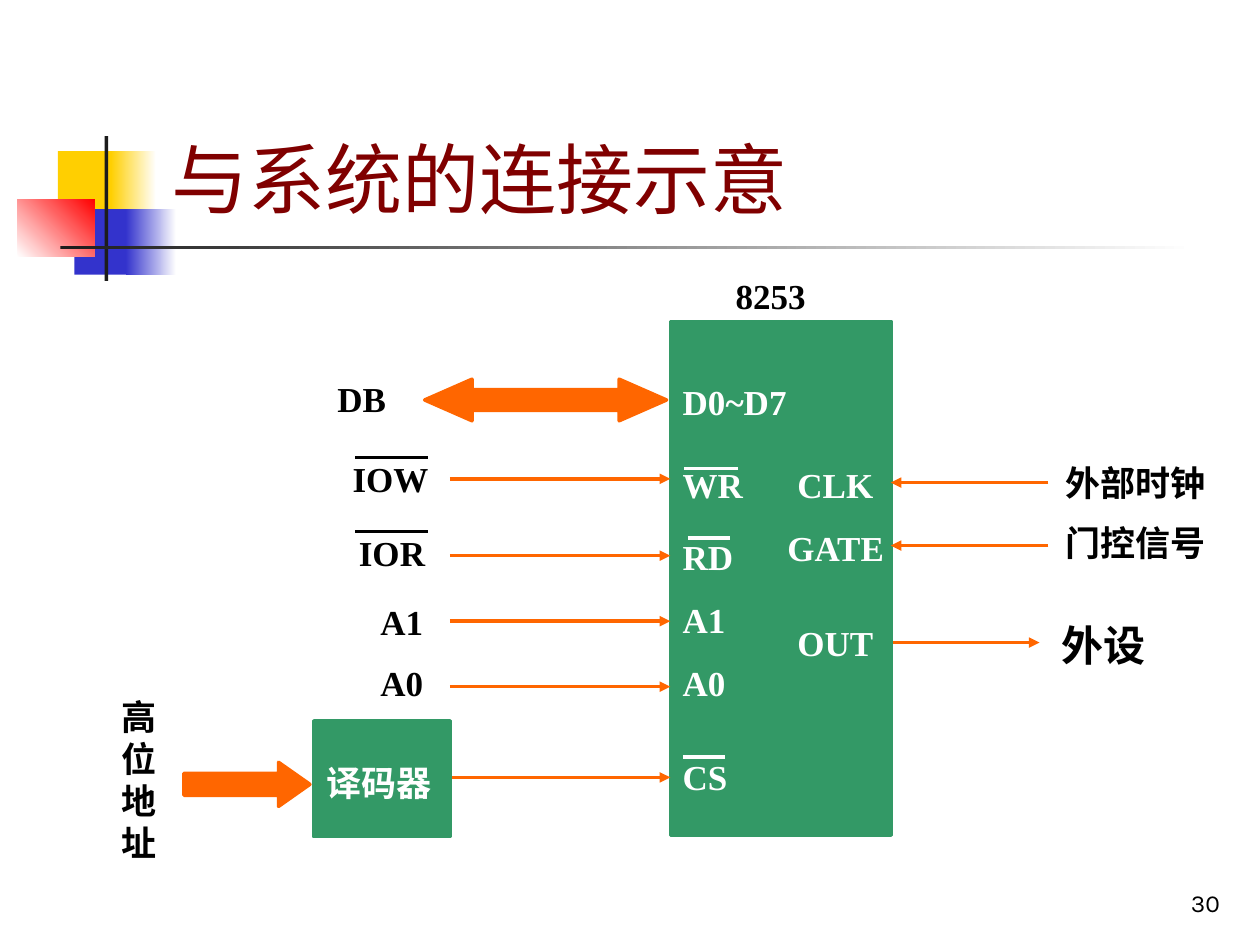
from dataclasses import dataclass

from lxml.etree import SubElement
from pptx import Presentation
from pptx.dml.color import RGBColor
from pptx.enum.shapes import MSO_CONNECTOR, MSO_SHAPE
from pptx.enum.text import MSO_ANCHOR, PP_ALIGN
from pptx.oxml.ns import qn
from pptx.util import Inches, Pt


@dataclass(frozen=True)
class Theme:
    black: str = "000000"
    white: str = "FFFFFF"
    chip: str = "339966"
    signal: str = "FF6600"
    heading: str = "800000"
    yellow: str = "FFCF01"
    blue: str = "3333CC"
    red: str = "FF0000"
    ink: str = "1C1C1C"
    heading_font: str = "Karla"
    label_font: str = "Times New Roman"
    title_size: int = 44
    large_size: int = 24
    label_size: int = 20
    number_size: int = 14
    line_width: int = 2


class Diagram:
    def __init__(self, slide, theme):
        self.slide = slide
        self.theme = theme

    def block(self, left, top, width, height, color, outlined=False,
              kind=MSO_SHAPE.RECTANGLE, adjustments=()):
        shape = self.slide.shapes.add_shape(
            kind, Inches(left), Inches(top), Inches(width), Inches(height))
        shape.shadow.inherit = False
        for index, value in enumerate(adjustments):
            shape.adjustments[index] = value
        shape.fill.solid()
        shape.fill.fore_color.rgb = RGBColor.from_string(color)
        if outlined:
            shape.line.color.rgb = RGBColor.from_string(color)
            shape.line.width = Pt(self.theme.line_width)
        else:
            shape.line.fill.background()
        return shape

    def fade(self, left, top, width, height, start, end, angle=0):
        fill = self.block(left, top, width, height, start).fill
        fill.gradient()
        fill.gradient_angle = angle
        for stop, color in zip(fill.gradient_stops, (start, end)):
            stop.color.rgb = RGBColor.from_string(color)

    def text(self, words, left, top, width, height=0.44, color=None, size=None,
             font=None, bold=True, align=PP_ALIGN.LEFT, anchor=MSO_ANCHOR.TOP,
             spacing=None):
        box = self.slide.shapes.add_textbox(
            Inches(left), Inches(top), Inches(width), Inches(height))
        frame = box.text_frame
        frame.word_wrap = True
        frame.vertical_anchor = anchor
        frame.text = words
        paragraph = frame.paragraphs[0]
        paragraph.alignment = align
        if spacing:
            paragraph.line_spacing = spacing
        style = paragraph.runs[0].font
        style.name = font or self.theme.label_font
        style.size = Pt(size or self.theme.label_size)
        style.bold = bold
        style.color.rgb = RGBColor.from_string(color or self.theme.black)

    def line(self, x1, y1, x2, y2, color, arrow=False):
        connector = self.slide.shapes.add_connector(
            MSO_CONNECTOR.STRAIGHT, Inches(x1), Inches(y1), Inches(x2), Inches(y2))
        connector.line.color.rgb = RGBColor.from_string(color)
        connector.line.width = Pt(self.theme.line_width)
        if arrow:
            SubElement(connector.line._get_or_add_ln(), qn("a:tailEnd"), type="triangle")
        SubElement(connector._element.spPr, qn("a:effectLst"))


def draw_heading(diagram):
    theme = diagram.theme
    diagram.block(0.46, 1.2, 0.48, 0.52, theme.yellow)
    diagram.fade(0.88, 1.2, 0.36, 0.52, theme.yellow, theme.white)
    diagram.block(0.59, 1.66, 0.46, 0.52, theme.blue)
    diagram.fade(1, 1.66, 0.4, 0.52, theme.blue, theme.white)
    diagram.fade(0.14, 1.58, 0.61, 0.46, theme.white, theme.red, angle=45)
    diagram.block(0.83, 1.08, 0.03, 1.15, theme.ink)
    diagram.fade(0.48, 1.95, 9, 0.03, theme.ink, theme.white)
    diagram.text("30", 7.7, 6.83, 2.08, 0.5, size=theme.number_size,
                 font=theme.heading_font, bold=False, align=PP_ALIGN.RIGHT,
                 anchor=MSO_ANCHOR.BOTTOM)
    diagram.text("与系统的连接示意", 1.26, 0.66, 8.52, 1.17, color=theme.heading,
                 size=theme.title_size, font=theme.heading_font, bold=False,
                 anchor=MSO_ANCHOR.BOTTOM)


def draw_timer(diagram):
    theme = diagram.theme
    chip_left = 5.32
    diagram.text("8253", 5.74, 2.13, 0.83)
    diagram.block(chip_left, 2.55, 1.75, 4.08, theme.chip, outlined=True)
    for pin, top in (("D0~D7", 2.97), ("WR", 3.63), ("RD", 4.2),
                     ("A1", 4.7), ("A0", 5.2), ("CS", 5.95)):
        diagram.text(pin, chip_left, top, 1.17, color=theme.white)
    for pin, left, top in (("CLK", 6.23, 3.63), ("GATE", 6.15, 4.13), ("OUT", 6.23, 4.88)):
        diagram.text(pin, left, top, 1.08, color=theme.white)
    for start, end, y in ((5.43, 5.86, 3.72), (5.46, 5.79, 4.27), (5.42, 5.75, 6.01)):
        diagram.line(start, y, end, y, theme.white)


def draw_bus(diagram):
    theme = diagram.theme
    for signal, left, top in (("DB", 2.58, 2.95), ("IOW", 2.7, 3.58), ("IOR", 2.75, 4.17),
                              ("A1", 2.92, 4.72), ("A0", 2.92, 5.2)):
        diagram.text(signal, left, top, 0.83)
    for y in (3.63, 4.22):
        diagram.line(2.82, y, 3.4, y, theme.black)
    diagram.block(3.37, 3.01, 1.92, 0.33, theme.signal, outlined=True,
                  kind=MSO_SHAPE.LEFT_RIGHT_ARROW, adjustments=(0.5, 1.14))
    for y in (3.8, 4.41, 4.93, 5.45, 6.17):
        diagram.line(3.57, y, 5.32, y, theme.signal, arrow=True)


def draw_decoder(diagram):
    theme = diagram.theme
    diagram.text("高位地址", 0.87, 5.47, 0.67, 1.44)
    diagram.block(1.46, 6.05, 1, 0.35, theme.signal, outlined=True,
                  kind=MSO_SHAPE.RIGHT_ARROW, adjustments=(0.5, 0.71))
    diagram.block(2.49, 5.72, 1.08, 0.92, theme.chip, outlined=True)
    diagram.text("译码器", 2.49, 5.88, 1.17, 0.55, color=theme.white, spacing=1.35)


def draw_peripherals(diagram):
    theme = diagram.theme
    for start, end, y in ((8.32, 7.07, 3.83), (8.32, 7.07, 4.33), (7.09, 8.25, 5.1)):
        diagram.line(start, y, end, y, theme.signal, arrow=True)
    diagram.text("外部时钟", 8.36, 3.61, 1.41)
    diagram.text("门控信号", 8.36, 4.09, 1.41)
    diagram.text("外设", 8.33, 4.87, 1.08, 0.5, size=theme.large_size)


def main():
    presentation = Presentation()
    presentation.slide_width = Inches(10)
    presentation.slide_height = Inches(7.5)
    slide = presentation.slides.add_slide(presentation.slide_layouts[6])
    diagram = Diagram(slide, Theme())
    draw_heading(diagram)
    draw_timer(diagram)
    draw_bus(diagram)
    draw_decoder(diagram)
    draw_peripherals(diagram)
    presentation.save("out.pptx")


if __name__ == "__main__":
    main()
